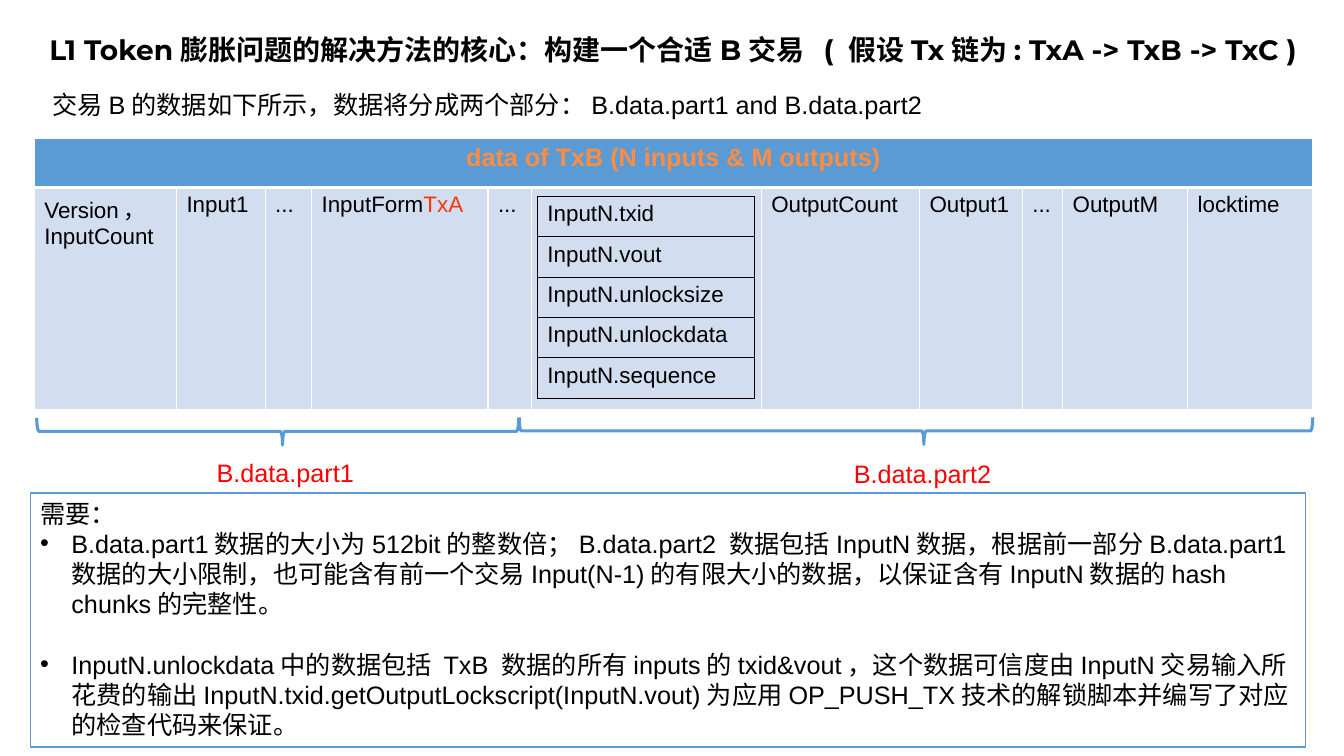
from lxml import etree
from pptx import Presentation, util as u
from pptx.dml.color import RGBColor
from pptx.enum import shapes, text
from pptx.oxml import ns

theme = dict(
    ink="000000", red="FF0000", hot="FF3300", gold="FF8D41",
    blue="5B9BD5", pale="D2DEEF", white="FFFFFF",
    head=20, body=18, cell=16, sans="Arial", bold="Montserrat",
)

deck = Presentation()
deck.slide_width, deck.slide_height = u.Inches(13.33), u.Inches(7.5)
slide = deck.slides.add_slide(deck.slide_layouts[6])


def write(para, words, size="body", tone="ink", font="sans", bold=False):
    run = para.add_run()
    run.text = words
    run.font.size = u.Pt(theme[size])
    run.font.name = theme[font]
    run.font.bold = bold
    run.font.color.rgb = RGBColor.from_string(theme[tone])


def style(cell, fill, edge, wide):
    if fill:
        cell.fill.solid()
        cell.fill.fore_color.rgb = RGBColor.from_string(theme[fill])
    else:
        cell.fill.background()
    props = cell._tc.get_or_add_tcPr()
    for spot, side in enumerate("LRTB"):
        line = etree.Element(ns.qn("a:ln" + side), w=str(u.Pt(wide.get(side, 1))))
        paint = etree.SubElement(line, ns.qn("a:solidFill"))
        etree.SubElement(paint, ns.qn("a:srgbClr"), val=theme[edge])
        props.insert(spot, line)


labels = [
    (0.39, 0.28, 12.91, 0.45, "L1 Token膨胀问题的解决方法的核心：构建一个合适B交易  ( 假设Tx链为: TxA -> TxB -> TxC )",
     dict(size="head", font="bold", bold=True)),
    (0.42, 0.84, 9.04, 0.4, "交易B的数据如下所示，数据将分成两个部分：B.data.part1 and B.data.part2", {}),
    (2.05, 4.49, 1.58, 0.4, "B.data.part1", dict(tone="red")),
    (8.37, 4.5, 1.58, 0.4, "B.data.part2", dict(tone="red")),
]
for *place, words, look in labels:
    frame = slide.shapes.add_textbox(*map(u.Inches, place)).text_frame
    frame.word_wrap = look.get("tone") != "red"
    if "bold" in look:
        frame.vertical_anchor = text.MSO_ANCHOR.MIDDLE
        frame.paragraphs[0].line_spacing = 0.9
    write(frame.paragraphs[0], words, **look)

needs = [
    "B.data.part1数据的大小为512bit的整数倍；B.data.part2 数据包括InputN数据，根据前一部分B.data.part1数据的大小限制，也可能含有前一个交易Input(N-1)的有限大小的数据，以保证含有InputN数据的hash chunks的完整性。",
    "InputN.unlockdata中的数据包括 TxB 数据的所有inputs的txid&vout，这个数据可信度由InputN交易输入所花费的输出InputN.txid.getOutputLockscript(InputN.vout)为应用OP_PUSH_TX技术的解锁脚本并编写了对应的检查代码来保证。",
]
box = slide.shapes.add_shape(shapes.MSO_SHAPE.RECTANGLE, *map(u.Inches, (0.3, 4.89, 12.65, 2.52)))
box.shadow.inherit = False
box.fill.solid()
box.fill.fore_color.rgb = RGBColor.from_string(theme["white"])
box.line.color.rgb = RGBColor.from_string(theme["blue"])
box.line.width = u.Pt(1)
frame = box.text_frame
frame.word_wrap = True
frame.vertical_anchor = text.MSO_ANCHOR.TOP
frame.paragraphs[0].alignment = text.PP_ALIGN.LEFT
write(frame.paragraphs[0], "需要：")
for rank, words in enumerate(needs):
    para = frame.add_paragraph()
    para.alignment = text.PP_ALIGN.LEFT
    para.space_before = u.Pt(21.5 * rank)
    props = para._p.get_or_add_pPr()
    props.set("marL", str(u.Inches(0.31)))
    props.set("indent", str(-u.Inches(0.31)))
    etree.SubElement(props, ns.qn("a:buFont"), typeface=theme["sans"])
    etree.SubElement(props, ns.qn("a:buChar"), char="•")
    write(para, words)

fields = [
    (1.41, "Version，\nInputCount"), (0.88, "Input1"), (0.46, "..."),
    (1.75, "InputForm"), (0.43, "..."), (2.28, ""), (1.57, "OutputCount"),
    (1.02, "Output1"), (0.4, "..."), (1.24, "OutputM"), (1.24, "locktime"),
]
parts = ["txid", "vout", "unlocksize", "unlockdata", "sequence"]
grids = [
    (0.34, 1.37, [wide for wide, _ in fields], [0.49, 2.2],
     [["data of TxB (N inputs & M outputs)"] + [""] * 10, [name for _, name in fields]], "white"),
    (5.33, 1.95, [2.15], [0.4] * 5, [["InputN." + part] for part in parts], "ink"),
]
for left, top, cols, rows, cells, edge in grids:
    table = slide.shapes.add_table(
        len(rows), len(cols), *map(u.Inches, (left, top, sum(cols), sum(rows)))).table
    table.first_row = table.horz_banding = False
    main = edge == "white"
    for c, wide in enumerate(cols):
        table.columns[c].width = u.Inches(wide)
    for r, high in enumerate(rows):
        table.rows[r].height = u.Inches(high)
        for c, words in enumerate(cells[r]):
            cell = table.cell(r, c)
            top_row = main and r == 0
            fill = ("blue" if top_row else "pale") if main else None
            style(cell, fill, edge, {"B" if top_row else "T": 3} if main else {})
            for i, line in enumerate(words.split("\n") if words else []):
                para = cell.text_frame.add_paragraph() if i else cell.text_frame.paragraphs[0]
                if top_row:
                    para.alignment = text.PP_ALIGN.CENTER
                    write(para, line, tone="gold", bold=True)
                else:
                    write(para, line, "cell")
                    if line == "InputForm":
                        write(para, "TxA", "cell", "hot")
    if main:
        table.cell(0, 0).merge(table.cell(0, len(cols) - 1))

for left, top, high in [(2.62, 1.89, 4.78), (8.95, 0.34, 7.87)]:
    brace = slide.shapes.add_shape(
        shapes.MSO_SHAPE.LEFT_BRACE, *map(u.Inches, (left, top, 0.27, high)))
    brace.rotation = 270
    brace.adjustments[0], brace.adjustments[1] = 0.08, 0.51
    brace.shadow.inherit = False
    brace.fill.background()
    brace.line.color.rgb = RGBColor.from_string(theme["blue"])
    brace.line.width = u.Pt(2.25)

deck.save("out.pptx")
